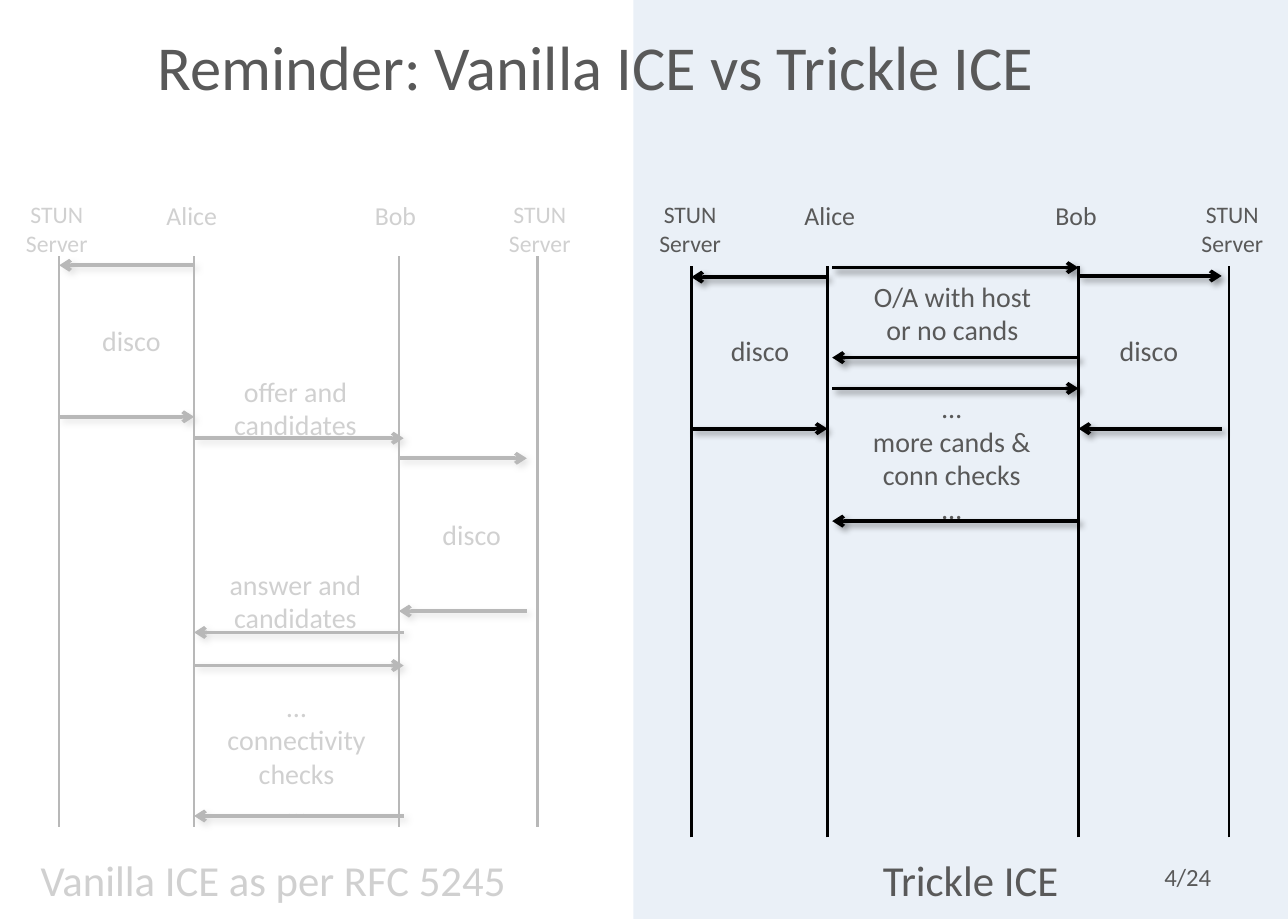
from lxml.etree import SubElement
from pptx import Presentation
from pptx.dml.color import RGBColor
from pptx.enum.shapes import MSO_CONNECTOR as Connector, MSO_SHAPE as Shape
from pptx.enum.text import MSO_ANCHOR as Anchor, PP_ALIGN as Align
from pptx.oxml.ns import qn
from pptx.util import Inches, Pt

COLORS = {"panel": "DCE6F2", "veil": "FFFFFF", "line": "000000", "text": "595959"}
FONT = "Calibri"
COLUMNS, ROWS = 108.8, 77.6
HEADING_ROW = 16.4

VANILLA = {
    "lifelines": [5, 16.4, 33.7, 45.4],
    "span": (21.6, 69.8),
    "headings": [4.8, 16.2, 33.4, 45.6],
    "messages": [
        (16.4, 5, 22.4), (5, 16.4, 35.2),
        (16.4, 34.1, 37), (33.7, 44.5, 38.7), (44.5, 33.7, 51.6),
        (34.1, 16.4, 53.4), (16.4, 34.1, 56.2), (34.1, 16.4, 68.9),
    ],
    "labels": [
        ("disco", 3.2, 26.8, 15.8, 3.9),
        ("disco", 32.5, 43.2, 14.7, 3.9),
        ("offer and candidates", 18, 31.1, 13.9, 6.7),
        ("answer and candidates", 18, 47.4, 13.9, 6.7),
        ("…\nconnectivity checks\n…", 16.5, 57.7, 17.1, 9.6),
    ],
    "caption": ("Vanilla ICE as per RFC 5245", 0),
}
TRICKLE = {
    "lifelines": [58.4, 69.9, 91.1, 103.8],
    "span": (22.5, 70.7),
    "headings": [58.3, 70.1, 90.9, 104.1],
    "messages": [
        (69.9, 58.4, 23.4), (58.4, 69.9, 36.2),
        (91.1, 103.2, 23.3), (103.2, 91.1, 36.2),
        (70.3, 91.1, 22.6), (91.1, 70.3, 30.2),
        (70.3, 91.1, 32.8), (91.1, 70.3, 44),
    ],
    "labels": [
        ("disco", 57.2, 27.7, 14, 3.9),
        ("disco", 89.3, 27.7, 15.5, 3.9),
        ("O/A with host\nor no cands", 67, 23.1, 26.9, 6.7),
        ("…\nmore cands &\nconn checks\n…", 67.9, 32.5, 25, 12.5),
    ],
    "caption": ("Trickle ICE", 58.9),
}
HEADINGS = [("STUN Server", 14.4), ("Alice", 15.7), ("Bob", 15.7), ("STUN Server", 14.4)]


def grid(*cells):
    return [Inches(cell / 10) for cell in cells]


def add_tint(slide, color, opacity, left, top, width, height):
    tint = slide.shapes.add_shape(Shape.RECTANGLE, *grid(left, top, width, height))
    tint.shadow.inherit = False
    tint.line.fill.background()
    tint.fill.solid()
    tint.fill.fore_color.rgb = RGBColor.from_string(COLORS[color])
    shade = tint._element.spPr.find(qn("a:solidFill"))[0]
    SubElement(shade, qn("a:alpha"), val=str(opacity * 1000))


def add_label(slide, text, left, top, width, height, size=17,
              align=Align.CENTER, anchor=Anchor.TOP, inset=1):
    frame = slide.shapes.add_textbox(*grid(left, top, width, height)).text_frame
    frame.word_wrap = True
    frame.vertical_anchor = anchor
    frame.margin_left, frame.margin_right = grid(inset, 1)
    paragraph = frame.paragraphs[0]
    paragraph.text = text
    paragraph.alignment = align
    for run in paragraph.runs:
        run.font.size = Pt(size)
        run.font.name = FONT
        run.font.color.rgb = RGBColor.from_string(COLORS["text"])


def add_line(slide, start, end, weight):
    line = slide.shapes.add_connector(Connector.STRAIGHT, *grid(*start, *end))
    line.line.width = Pt(weight)
    line.line.color.rgb = RGBColor.from_string(COLORS["line"])
    effects = SubElement(line._element.spPr, qn("a:effectLst"))
    return line, effects


def add_message(slide, sender, receiver, row):
    arrow, effects = add_line(slide, (sender, row), (receiver, row), 2.25)
    SubElement(arrow.line._get_or_add_ln(), qn("a:tailEnd"), type="arrow")
    shadow = SubElement(effects, qn("a:outerShdw"), blurRad=str(Pt(4)),
                        dist=str(Pt(3)), dir="2700000", rotWithShape="0")
    shade = SubElement(shadow, qn("a:srgbClr"), val=COLORS["line"])
    SubElement(shade, qn("a:alpha"), val="40000")


def add_sequence(slide, sequence):
    top, bottom = sequence["span"]
    for column in sequence["lifelines"]:
        add_line(slide, (column, bottom), (column, top), 1.5)
    for (name, size), center in zip(HEADINGS, sequence["headings"]):
        add_label(slide, name, center - 4.5, HEADING_ROW, 9, 5.2, size)
    for label in sequence["labels"]:
        add_label(slide, *label)
    for message in sequence["messages"]:
        add_message(slide, *message)
    caption, left = sequence["caption"]
    add_label(slide, caption, left, 71.6, 46.2, 6, 26)


def main():
    deck = Presentation()
    deck.slide_width, deck.slide_height = grid(COLUMNS, ROWS)
    slide = deck.slides.add_slide(deck.slide_layouts[6])
    add_tint(slide, "panel", 59, 53.5, 0, COLUMNS - 53.5, ROWS)
    add_label(slide, "Reminder: Vanilla ICE vs Trickle ICE", 5.4, -0.9, 97.9, 12.9,
              38, Align.LEFT, Anchor.MIDDLE, inset=7.9)
    add_sequence(slide, VANILLA)
    add_sequence(slide, TRICKLE)
    add_tint(slide, "veil", 72, 0, 9.5, 51.7, ROWS - 9.5)
    add_label(slide, "4/24", 77.9, 72, 25.4, 4.1, 15, Align.RIGHT, Anchor.MIDDLE)
    deck.save("out.pptx")


if __name__ == "__main__":
    main()
